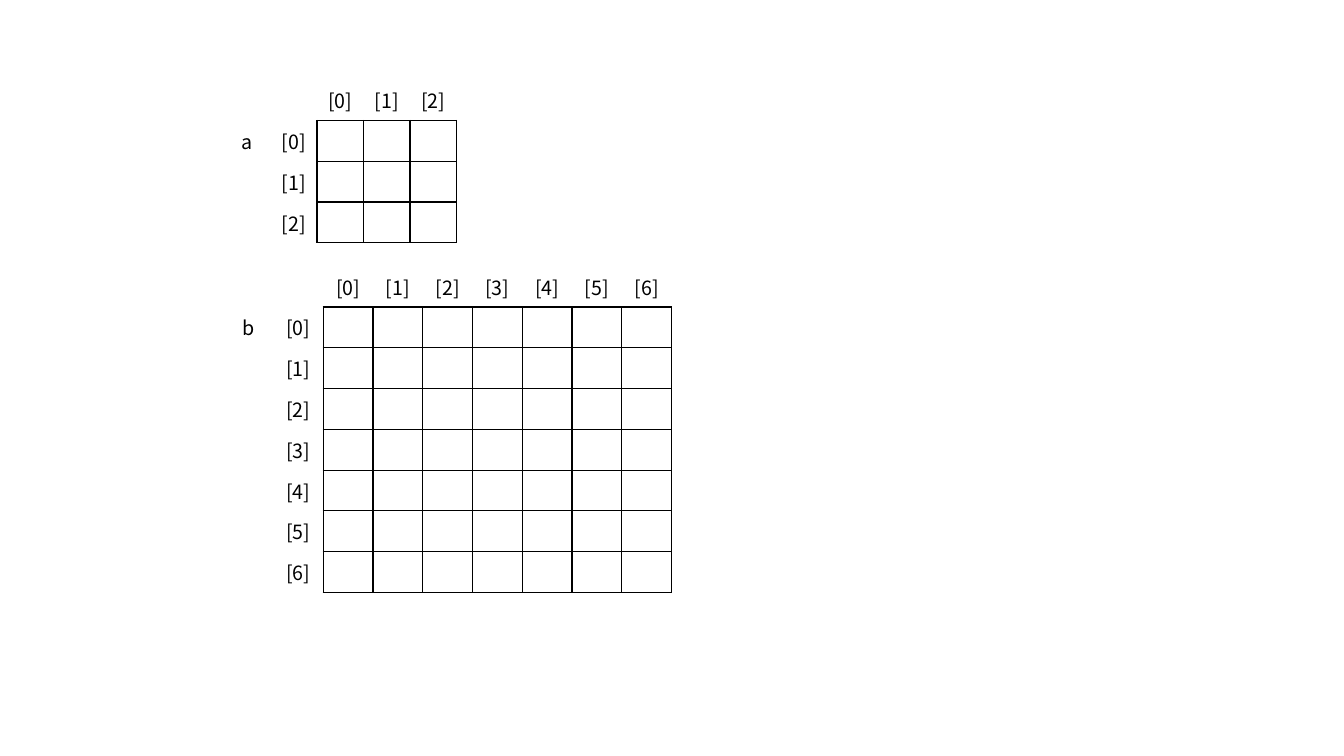
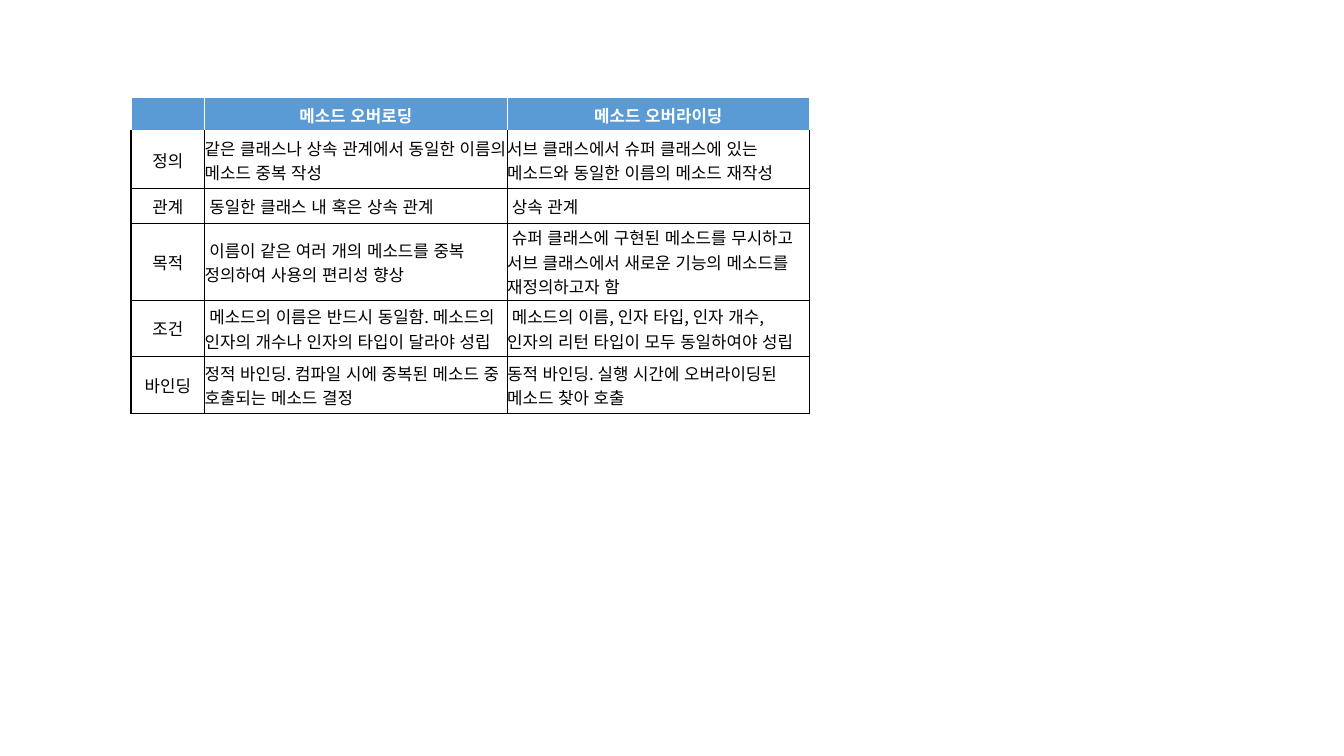
from dataclasses import dataclass

from lxml import etree
from pptx import Presentation
from pptx.dml.color import RGBColor
from pptx.enum.lang import MSO_LANGUAGE_ID
from pptx.enum.text import MSO_ANCHOR, PP_ALIGN
from pptx.oxml.ns import qn
from pptx.util import Inches, Pt

CENTER, LEFT = PP_ALIGN.CENTER, PP_ALIGN.LEFT
MIDDLE = MSO_ANCHOR.MIDDLE
KOREAN = MSO_LANGUAGE_ID.KOREAN
PLAIN_TABLE = "{2D5ABB26-0587-4C30-8999-92F81FD0307C}"


@dataclass(frozen=True)
class Theme:
    font: str = "Noto Sans CJK KR"
    ink: str = "000000"
    paper: str = "FFFFFF"
    header: str = "5B9BD5"
    grid_size: int = 14
    text_size: int = 12
    thin: int = 1
    thick: int = 3


THEME = Theme()
INK_BOX = {side: (THEME.ink, THEME.thin) for side in "LRTB"}
UNDER_HEADER = INK_BOX | {"T": (THEME.paper, THEME.thick)}
HEADER_BOX = {side: (THEME.paper, THEME.thin) for side in "LRT"} | {"B": (THEME.paper, THEME.thick)}

COMPARISON = [
    ("", "메소드 오버로딩", "메소드 오버라이딩"),
    ("정의", "같은 클래스나 상속 관계에서 동일한 이름의 메소드 중복 작성",
     "서브 클래스에서 슈퍼 클래스에 있는 메소드와 동일한 이름의 메소드 재작성"),
    ("관계", " 동일한 클래스 내 혹은 상속 관계", " 상속 관계"),
    ("목적", " 이름이 같은 여러 개의 메소드를 중복 정의하여 사용의 편리성 향상",
     " 슈퍼 클래스에 구현된 메소드를 무시하고 서브 클래스에서 새로운 기능의 메소드를 재정의하고자 함"),
    ("조건", " 메소드의 이름은 반드시 동일함. 메소드의 인자의 개수나 인자의 타입이 달라야 성립",
     " 메소드의 이름, 인자 타입, 인자 개수, 인자의 리턴 타입이 모두 동일하여야 성립"),
    ("바인딩", "정적 바인딩. 컴파일 시에 중복된 메소드 중 호출되는 메소드 결정",
     "동적 바인딩. 실행 시간에 오버라이딩된 메소드 찾아 호출"),
]


def apply(target, values):
    for name, value in values.items():
        setattr(target, name, value)


def add_plain_table(page, left, top, widths, heights):
    frame = page.shapes.add_table(len(heights), len(widths), Inches(left), Inches(top),
                                  Inches(sum(widths)), Inches(sum(heights)))
    table = frame.table
    apply(table, {"first_row": False, "horz_banding": False})
    table._tbl.tblPr.find(qn("a:tableStyleId")).text = PLAIN_TABLE
    for column, width in zip(table.columns, widths):
        column.width = Inches(width)
    for row, height in zip(table.rows, heights):
        row.height = Inches(height)
    return table


def draw_borders(cell, borders):
    properties = cell._tc.get_or_add_tcPr()
    for side, (color, width) in borders.items():
        line = etree.SubElement(properties, qn(f"a:ln{side}"), w=str(Pt(width)))
        fill = etree.SubElement(line, qn("a:solidFill"))
        etree.SubElement(fill, qn("a:srgbClr"), val=color)


def write_cell(cell, text, size, inset, color=THEME.ink, bold=False, align=CENTER):
    margins = ("margin_left", "margin_right", "margin_top", "margin_bottom")
    apply(cell, dict.fromkeys(margins, Inches(inset)) | {"vertical_anchor": MIDDLE})
    para = cell.text_frame.paragraphs[0]
    para.alignment = align
    if not text:
        etree.SubElement(para._p, qn("a:endParaRPr"), sz=str(size * 100))
        return
    span = para.add_run()
    span.text = text
    apply(span.font, {"size": Pt(size), "name": THEME.font, "bold": bold, "language_id": KOREAN})
    span.font.color.rgb = RGBColor.from_string(color)
    etree.SubElement(span.font._element, qn("a:ea"), typeface=THEME.font)


def fill_cell(cell, color):
    cell.fill.solid()
    cell.fill.fore_color.rgb = RGBColor.from_string(color)


def add_array_grid(page, name, count, top, total_width):
    cells = count + 2
    table = add_plain_table(page, 2.22, top, [total_width / cells] * cells, [0.405] * (count + 1))
    labels = {(1, 0): name}
    for index in range(count):
        labels[0, index + 2] = labels[index + 1, 1] = f"[{index}]"
    for row in range(count + 1):
        for column in range(cells):
            cell = table.cell(row, column)
            write_cell(cell, labels.get((row, column), ""), THEME.grid_size, 0.05)
            if row > 0 and column > 1:
                draw_borders(cell, INK_BOX)


def add_comparison(page, rows):
    table = add_plain_table(page, 1.3, 0.97, [0.73, 3, 3], [0.34, 0.56, 0.35, 0.76, 0.56, 0.56])
    for row, texts in enumerate(rows):
        header = row == 0
        borders = {0: HEADER_BOX, 1: UNDER_HEADER}.get(row, INK_BOX)
        for column, text in enumerate(texts):
            cell = table.cell(row, column)
            write_cell(cell, text, THEME.text_size, 0,
                       color=THEME.paper if header else THEME.ink, bold=header,
                       align=CENTER if header or column == 0 else LEFT)
            draw_borders(cell, borders)
            fill_cell(cell, THEME.header if header else THEME.paper)


def main():
    deck = Presentation()
    apply(deck, {"slide_width": Inches(13.33), "slide_height": Inches(7.5)})
    blank = deck.slide_layouts[6]

    arrays = deck.slides.add_slide(blank)
    add_array_grid(arrays, "a", 3, 0.79, 2.31)
    add_array_grid(arrays, "b", 7, 2.64, 4.44)

    add_comparison(deck.slides.add_slide(blank), COMPARISON)
    deck.save("out.pptx")


if __name__ == "__main__":
    main()
